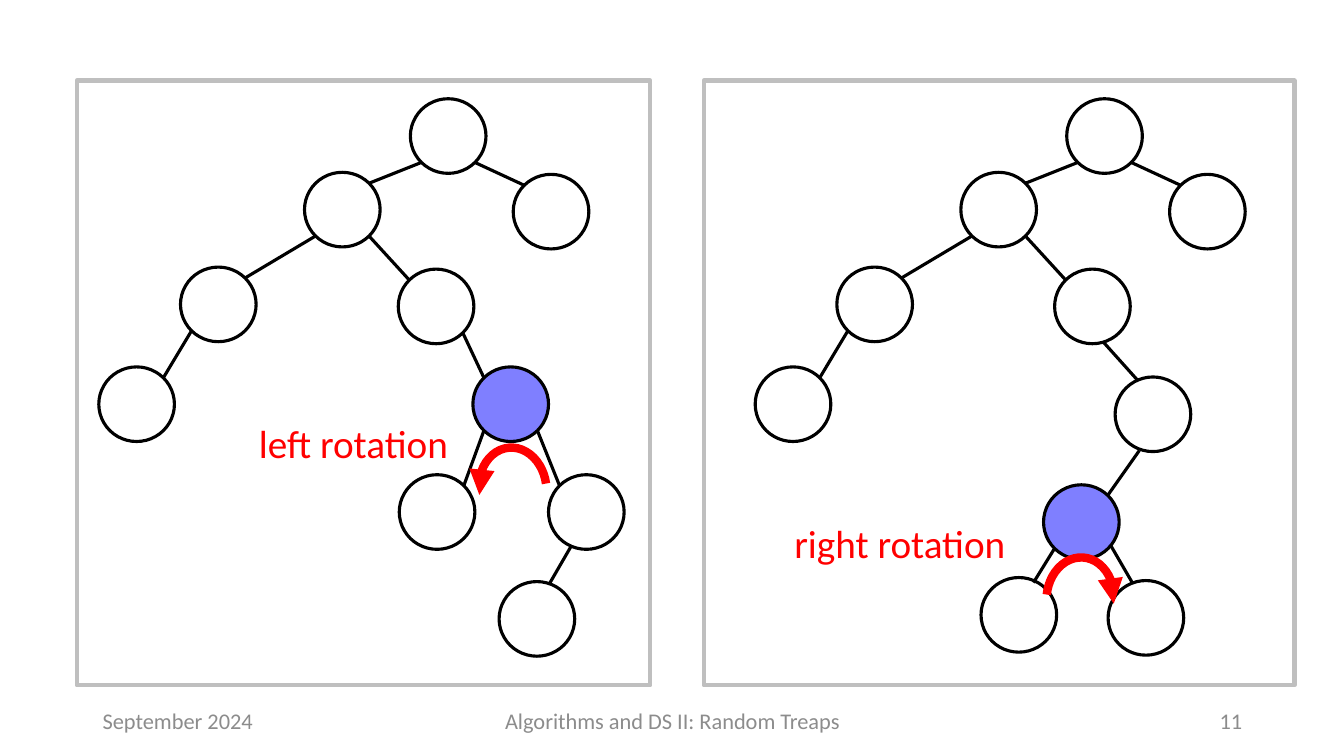
from dataclasses import dataclass
from math import sqrt

from lxml import etree
from pptx import Presentation
from pptx.dml.color import RGBColor
from pptx.enum.shapes import MSO_CONNECTOR, MSO_SHAPE
from pptx.enum.text import MSO_ANCHOR, MSO_AUTO_SIZE, PP_ALIGN
from pptx.oxml.ns import qn
from pptx.util import Inches, Pt

ARC, OVAL, RECTANGLE = MSO_SHAPE.ARC, MSO_SHAPE.OVAL, MSO_SHAPE.RECTANGLE
STRAIGHT = MSO_CONNECTOR.STRAIGHT
MIDDLE, TOP = MSO_ANCHOR.MIDDLE, MSO_ANCHOR.TOP
LEFT, CENTER, RIGHT = PP_ALIGN.LEFT, PP_ALIGN.CENTER, PP_ALIGN.RIGHT
GROW = MSO_AUTO_SIZE.SHAPE_TO_FIT_TEXT

NODE_WIDTH, NODE_HEIGHT = 0.75, 0.74
TREE_SHIFT = 6.51


@dataclass(frozen=True)
class Theme:
    font: str = "Calibri"
    ink: RGBColor = RGBColor(0, 0, 0)
    frame: RGBColor = RGBColor(0xBF, 0xBF, 0xBF)
    muted: RGBColor = RGBColor(0x8C, 0x8C, 0x8C)
    accent: RGBColor = RGBColor(0xFF, 0, 0)
    pivot: RGBColor = RGBColor(0, 0, 0xFF)
    label_size: int = 28
    footer_size: int = 16
    edge_width: float = 2.25
    frame_width: int = 3
    arrow_width: int = 6


class TreapPage:
    def __init__(self, page, theme):
        self.page = page
        self.theme = theme

    def outline(self, kind, left, top, width, height, color, weight):
        shape = self.page.shapes.add_shape(
            kind, Inches(left), Inches(top), Inches(width), Inches(height)
        )
        shape.shadow.inherit = False
        shape.fill.background()
        shape.line.color.rgb = color
        shape.line.width = Pt(weight)
        return shape

    def frame(self, left, width):
        self.outline(RECTANGLE, left, 0.8, width, 6, self.theme.frame, self.theme.frame_width)

    def node(self, left, top, is_pivot):
        circle = self.outline(
            OVAL, left, top, NODE_WIDTH, NODE_HEIGHT, self.theme.ink, self.theme.edge_width
        )
        if is_pivot:
            circle.fill.solid()
            circle.fill.fore_color.rgb = self.theme.pivot
            color = circle.fill._xPr.find(qn("a:solidFill"))[0]
            etree.SubElement(color, qn("a:alpha"), val="50000")

    def edge(self, start, end):
        line = self.page.shapes.add_connector(STRAIGHT, *map(Inches, (*start, *end)))
        line.line.color.rgb = self.theme.ink
        line.line.width = Pt(self.theme.edge_width)
        etree.SubElement(line._element.spPr, qn("a:effectLst"))

    def tree(self, nodes, edges, loose_edges):
        for parent, child, side in edges:
            self.edge(corner(nodes[parent], side, 1), corner(nodes[child], -side, -1))
        for start, end in loose_edges:
            self.edge(start, end)
        for name, (left, top) in nodes.items():
            self.node(left, top, name == "pivot")

    def text(self, words, left, top, width, height, size, color, align, anchor):
        box = self.page.shapes.add_textbox(
            Inches(left), Inches(top), Inches(width), Inches(height)
        )
        frame = box.text_frame
        frame.word_wrap = True
        frame.vertical_anchor = anchor
        frame.text = words
        para = frame.paragraphs[0]
        para.alignment = align
        font = para.runs[0].font
        font.name = self.theme.font
        font.size = Pt(size)
        font.color.rgb = color
        return box

    def footer(self, words, left, width, align):
        self.text(words, left, 6.95, width, 0.4,
                  self.theme.footer_size, self.theme.muted, align, MIDDLE)

    def label(self, words, left, top, width):
        box = self.text(words, left, top, width, 0.57,
                        self.theme.label_size, self.theme.accent, CENTER, TOP)
        box.text_frame.auto_size = GROW

    def rotation_arrow(self, left, top, angle, mirrored):
        arc = self.outline(ARC, left, top, 0.67, 0.82, self.theme.accent, self.theme.arrow_width)
        arc.adjustments[0] = 110.156
        arc.adjustments[1] = 2.904
        arc.rotation = angle
        if mirrored:
            arc._element.spPr.find(qn("a:xfrm")).set("flipH", "1")
        line = arc._element.spPr.find(qn("a:ln"))
        etree.SubElement(line, qn("a:tailEnd"), type="triangle")


def corner(node, horizontal, vertical):
    left, top = node
    reach = 1 / sqrt(2)
    return (left + NODE_WIDTH / 2 * (1 + horizontal * reach),
            top + NODE_HEIGHT / 2 * (1 + vertical * reach))


SHARED_NODES = {
    "root": (4.07, 0.98),
    "left": (3.02, 1.71),
    "right": (5.09, 1.73),
    "outer": (1.79, 2.65),
    "inner": (3.95, 2.67),
    "outer leaf": (0.98, 3.64),
}
SHARED_EDGES = [
    ("root", "left", -1),
    ("root", "right", 1),
    ("left", "outer", -1),
    ("left", "inner", 1),
    ("outer", "outer leaf", -1),
]


def main():
    deck = Presentation()
    deck.slide_width, deck.slide_height = Inches(13.33), Inches(7.5)
    treap = TreapPage(deck.slides.add_slide(deck.slide_layouts[6]), Theme())

    treap.footer("September 2024", 0.92, 3, LEFT)
    treap.footer("Algorithms and DS II: Random Treaps", 4.42, 4.5, CENTER)
    treap.footer("11", 9.42, 3, RIGHT)

    treap.frame(0.76, 5.69)
    treap.tree(
        {**SHARED_NODES, "pivot": (4.69, 3.64), "pivot left": (3.96, 4.71),
         "pivot right": (5.44, 4.71), "leaf": (4.95, 5.77)},
        SHARED_EDGES + [("inner", "pivot", 1), ("pivot", "pivot left", -1),
                        ("pivot", "pivot right", 1)],
        [((5.67, 5.41), (5.45, 5.79))],
    )
    treap.label("left rotation", 2.38, 4.11, 2.25)
    treap.rotation_arrow(4.75, 4.44, 354.6, True)

    treap.frame(6.98, 5.86)
    shifted = {name: (left + TREE_SHIFT, top) for name, (left, top) in SHARED_NODES.items()}
    treap.tree(
        {**shifted, "parent": (11.06, 3.74), "pivot": (10.35, 4.81),
         "pivot left": (9.73, 5.73), "pivot right": (10.99, 5.76)},
        SHARED_EDGES,
        [((10.94, 3.39), (11.29, 3.78)), ((11.3, 4.47), (10.99, 4.91)),
         ((10.46, 5.44), (10.25, 5.78)), ((11.01, 5.4), (11.23, 5.78))],
    )
    treap.label("right rotation", 7.7, 5.1, 2.45)
    treap.rotation_arrow(10.38, 5.53, 3.5, False)

    deck.save("out.pptx")


if __name__ == "__main__":
    main()
